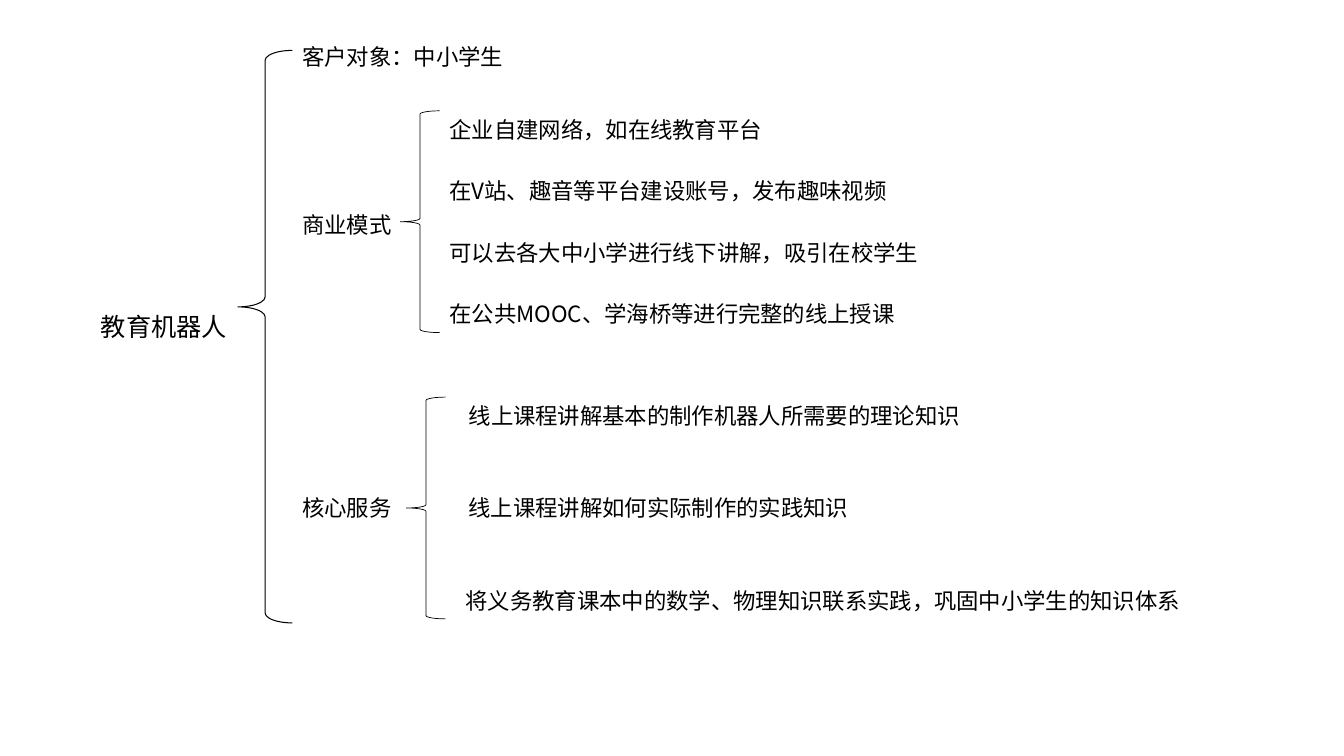
from pptx import Presentation
from pptx.dml.color import RGBColor
from pptx.enum.shapes import MSO_SHAPE
from pptx.enum.text import MSO_ANCHOR, MSO_AUTO_SIZE, PP_ALIGN
from pptx.oxml.ns import qn
from pptx.util import Pt

BRACE = MSO_SHAPE.LEFT_BRACE
MIDDLE = MSO_ANCHOR.MIDDLE
FIXED = MSO_AUTO_SIZE.NONE
LEFT = PP_ALIGN.LEFT
PX = 9144
FONT = "Noto Sans CJK SC"
COLORS = {"ink": "000000", "page": "FFFFFF"}
ROW = 37

MODEL = [
    (0, 376, "企业自建网络，如在线教育平台"),
    (0, 550, "在V站、趣音等平台建设账号，发布趣味视频"),
    (0, 550, "可以去各大中小学进行线下讲解，吸引在校学生"),
    (0, 523, "在公共MOOC、学海桥等进行完整的线上授课"),
]
SERVICE = [
    (3, 601, "线上课程讲解基本的制作机器人所需要的理论知识"),
    (3, 406, "线上课程讲解如何实际制作的实践知识"),
    (0, 750, "将义务教育课本中的数学、物理知识联系实践，巩固中小学生的知识体系"),
]


def color(name):
    """Return a named colour."""
    return RGBColor.from_string(COLORS[name])


def scale(*sizes):
    """Turn px lengths into EMU."""
    return [round(size * PX) for size in sizes]


def write(slide, text, box, size=16, shape=None):
    """Write one line of text in a new box or in the given shape."""
    if shape is None:
        shape = slide.shapes.add_textbox(*scale(*box))
    else:
        shape.left, shape.top, shape.width, shape.height = scale(*box)
    frame = shape.text_frame
    frame.word_wrap = True
    frame.auto_size = FIXED
    frame.vertical_anchor = MIDDLE
    para = frame.paragraphs[0]
    para.alignment = LEFT
    run = para.add_run()
    run.text = text
    font = run.font
    font.size = Pt(size)
    font.name = FONT
    font.color.rgb = color("ink")
    east = font._element.makeelement(qn("a:ea"), {"typeface": FONT})
    font._element.find(qn("a:latin")).addnext(east)


def brace(slide, box, weight=0.5, bends=None):
    """Draw a left brace that fills the box."""
    shape = slide.shapes.add_shape(BRACE, *scale(*box))
    shape.shadow.inherit = False
    shape.fill.background()
    shape.line.color.rgb = color("ink")
    shape.line.width = Pt(weight)
    for index, bend in enumerate(bends or []):
        shape.adjustments[index] = bend


def root(slide, box):
    """Place the topic and its wide brace in the box."""
    left, top, width, height = box
    write(slide, "教育机器人", (left, top + 254, 146, 40), 18, slide.shapes.title)
    brace(slide, (left + width - 54, top, 54, height), 0.75, (0.184, 0.448))


def branch(slide, box, label, gap, drop, indent, leaves):
    """Place a label, a brace and evenly spaced leaves in the box."""
    left, top, width, height = box
    write(slide, label, (left, top + drop, gap + 39, ROW))
    brace(slide, (left + gap, top, 39, height))
    step = (height - ROW) / (len(leaves) - 1)
    for index, (shift, wide, text) in enumerate(leaves):
        place = (left + indent + shift, top + index * step, wide, ROW)
        write(slide, text, place)


def main():
    """Build the slide and save it."""
    deck = Presentation()
    deck.slide_width, deck.slide_height = scale(1333, 750)
    slide = deck.slides.add_slide(deck.slide_layouts[5])
    slide.background.fill.solid()
    slide.background.fill.fore_color.rgb = color("page")
    root(slide, (90, 50, 200, 568))
    write(slide, "客户对象：中小学生", (290, 38, 303, ROW))
    branch(slide, (290, 110, 696, 220), "商业模式", 107, 94, 146, MODEL)
    branch(slide, (290, 394, 912, 220), "核心服务", 113, 91, 162, SERVICE)
    deck.save("out.pptx")


if __name__ == "__main__":
    main()
